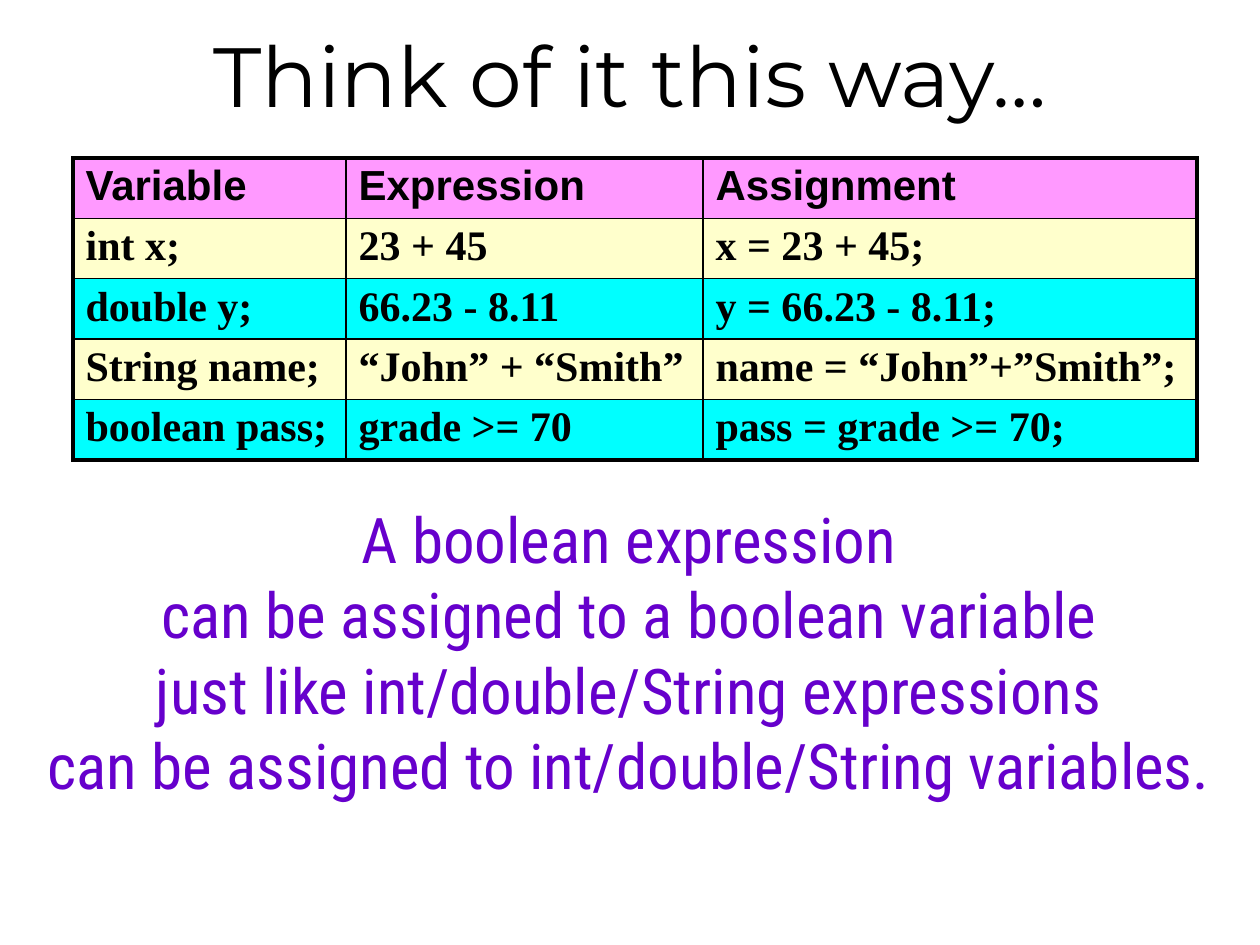
from lxml import etree
from pptx import Presentation
from pptx import util as u
from pptx.dml.color import RGBColor
from pptx.enum import text
from pptx.oxml.ns import qn

PX = 914400 // 126
BLACK = RGBColor(0x00, 0x00, 0x00)
PURPLE = RGBColor(0x66, 0x00, 0xCC)
PINK = RGBColor(0xFF, 0x99, 0xFF)
CREAM = RGBColor(0xFF, 0xFF, 0xCC)
CYAN = RGBColor(0x00, 0xFF, 0xFF)

TITLE_FONT = {"name": "Montserrat", "size": u.Pt(48)}
HEADER_FONT = {"name": "Arial", "size": u.Pt(24), "bold": True}
CODE_FONT = {"name": "Times New Roman", "size": u.Pt(24), "bold": True}
SUMMARY_FONT = {"name": "Roboto Condensed", "size": u.Pt(36)}

THIN, THICK = 1, 2.25
COLUMN_WIDTHS = [273, 357, 494]
ROW_HEIGHT = 59
ROWS = [
    ["Variable", "Expression", "Assignment"],
    ["int x;", "23 + 45", "x = 23 + 45;"],
    ["double y;", "66.23 - 8.11", "y = 66.23 - 8.11;"],
    ["String name;", "“John” + “Smith”", "name = “John”+”Smith”;"],
    ["boolean pass;", "grade >= 70", "pass = grade >= 70;"],
]
SUMMARY = [
    "A boolean expression",
    "can be assigned to a boolean variable",
    "just like int/double/String expressions",
    "can be assigned to int/double/String variables.",
]


def to_emu(box):
    """Turn a box in px into EMU lengths."""
    return [u.Emu(length * PX) for length in box]


def set_format(target, values):
    """Set each attribute named in a dict of format values."""
    for name, value in values.items():
        setattr(target, name, value)


def set_font(paragraph, values, color):
    """Apply font values and a colour to every run of a paragraph."""
    for run in paragraph.runs:
        set_format(run.font, values)
        run.font.color.rgb = color


def add_centered_text(slide, box, lines, font, color, frame_values):
    """Add a text box holding one centred paragraph per line."""
    frame = slide.shapes.add_textbox(*to_emu(box)).text_frame
    set_format(frame, frame_values)
    frame.text = "\n".join(lines)
    for paragraph in frame.paragraphs:
        paragraph.alignment = text.PP_ALIGN.CENTER
        set_font(paragraph, font, color)


def add_borders(cell, widths):
    """Draw solid black cell borders from a dict of side widths in points."""
    properties = cell._tc.get_or_add_tcPr()
    for index, (side, width) in enumerate(widths.items()):
        line = etree.Element(qn(f"a:ln{side}"), w=str(u.Pt(width)))
        fill = etree.SubElement(line, qn("a:solidFill"))
        etree.SubElement(fill, qn("a:srgbClr"), val=str(BLACK))
        properties.insert(index, line)


def add_code_table(slide, left, top):
    """Add the table of variables, expressions and assignments."""
    last_row, last_column = len(ROWS) - 1, len(COLUMN_WIDTHS) - 1
    box = [left, top, sum(COLUMN_WIDTHS), ROW_HEIGHT * len(ROWS)]
    table = slide.shapes.add_table(len(ROWS), len(COLUMN_WIDTHS), *to_emu(box)).table
    for column, width in zip(table.columns, COLUMN_WIDTHS):
        column.width = u.Emu(width * PX)
    for row_index, values in enumerate(ROWS):
        header = row_index == 0
        fill = PINK if header else (CYAN, CREAM)[row_index % 2]
        for column_index, value in enumerate(values):
            cell = table.cell(row_index, column_index)
            margin = u.Emu(5 * PX)
            set_format(cell, {"text": value, "margin_top": margin, "margin_bottom": margin})
            cell.fill.solid()
            cell.fill.fore_color.rgb = fill
            set_font(cell.text_frame.paragraphs[0], HEADER_FONT if header else CODE_FONT, BLACK)
            add_borders(cell, {
                "L": THICK if column_index == 0 else THIN,
                "R": THICK if column_index == last_column else THIN,
                "T": THICK if header else THIN,
                "B": THICK if row_index == last_row else THIN,
            })


def main():
    """Build and save the slide."""
    presentation = Presentation()
    set_format(presentation, {"slide_width": u.Inches(10), "slide_height": u.Inches(7.5)})
    slide = presentation.slides.add_slide(presentation.slide_layouts[6])
    add_centered_text(slide, [0, 0, 1260, 147], ["Think of it this way…"], TITLE_FONT, BLACK,
                      {"word_wrap": True, "vertical_anchor": text.MSO_ANCHOR.MIDDLE})
    add_code_table(slide, 73, 158)
    add_centered_text(slide, [20, 494, 1218, 412], SUMMARY, SUMMARY_FONT, PURPLE,
                      {"word_wrap": False})
    presentation.save("out.pptx")


if __name__ == "__main__":
    main()
